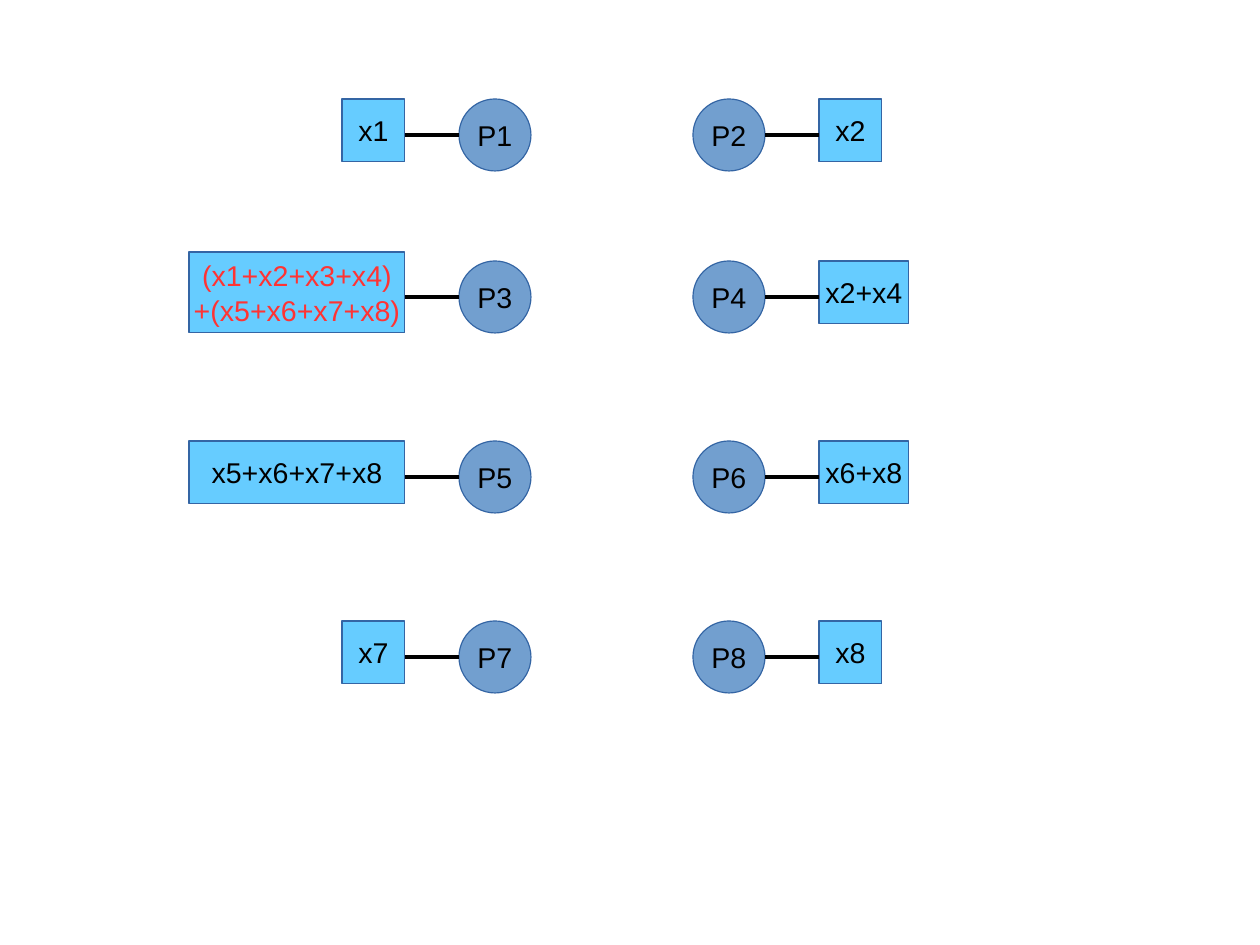
from dataclasses import dataclass

from lxml.etree import SubElement
from pptx import Presentation
from pptx.dml.color import RGBColor
from pptx.enum.shapes import MSO_CONNECTOR, MSO_SHAPE
from pptx.enum.text import MSO_ANCHOR, PP_ALIGN
from pptx.oxml.ns import qn
from pptx.util import Pt


@dataclass(frozen=True)
class Theme:
    node: str = "729FCF"
    box: str = "66CCFF"
    edge: str = "3465A4"
    link: str = "000000"
    ink: str = "000000"
    accent: str = "FF3333"
    font: str = "Arial"
    size: int = 18
    hair: int = 0


THEME = Theme()

NODE = 45.35  # circle diameter
BOX = 39.69  # usual box height
TALL = 51.02  # height of the two-line box
GAP = 34.02  # length of a link
SMALL, MID, WIDE = BOX, 56.69, 136.06
LEFT, RIGHT = 289.13, 436.54  # left edges of the circle columns
RISE = 5.67  # how far the tall box starts above its row

# Row top, then (label, box width) on the left and on the right
ROWS = [
    (62.36, ("x1", SMALL), ("x2", SMALL)),
    (164.41, ("(x1+x2+x3+x4)\n+(x5+x6+x7+x8)", WIDE), ("x2+x4", MID)),
    (277.8, ("x5+x6+x7+x8", WIDE), ("x6+x8", MID)),
    (391.18, ("x7", SMALL), ("x8", SMALL)),
]


def rgb(code):
    return RGBColor.from_string(code)


def add_block(slide, kind, text, x, y, width, height, fill, ink=THEME.ink):
    """Add a filled shape with centred text, one paragraph per line."""
    block = slide.shapes.add_shape(kind, Pt(x), Pt(y), Pt(width), Pt(height))
    block.shadow.inherit = False
    block.fill.solid()
    block.fill.fore_color.rgb = rgb(fill)
    block.line.color.rgb = rgb(THEME.edge)
    block.line.width = Pt(THEME.hair)
    frame = block.text_frame
    frame.word_wrap = False
    frame.vertical_anchor = MSO_ANCHOR.MIDDLE
    frame.text = text
    for line in frame.paragraphs:
        line.alignment = PP_ALIGN.CENTER
        line.font.name = THEME.font
        line.font.size = Pt(THEME.size)
        line.font.color.rgb = rgb(ink)


def add_node(slide, text, x, y):
    add_block(slide, MSO_SHAPE.OVAL, text, x, y, NODE, NODE, THEME.node)


def add_box(slide, text, x, y, width):
    """Add a value box; a two-line value is the result, tall and accented."""
    if "\n" in text:
        add_block(slide, MSO_SHAPE.RECTANGLE, text, x, y - RISE, width, TALL,
                  THEME.box, THEME.accent)
    else:
        add_block(slide, MSO_SHAPE.RECTANGLE, text, x, y, width, BOX,
                  THEME.box)


def add_link(slide, x, y):
    link = slide.shapes.add_connector(
        MSO_CONNECTOR.STRAIGHT, Pt(x), Pt(y), Pt(x + GAP), Pt(y))
    link.line.color.rgb = rgb(THEME.link)
    link.line.width = Pt(THEME.hair)
    SubElement(link._element.spPr, qn("a:effectLst"))


def add_row(slide, index, top, left, right):
    """Add two nodes, each linked to the value box on its outer side."""
    middle = top + NODE / 2
    text, width = left
    add_node(slide, f"P{2 * index + 1}", LEFT, top)
    add_box(slide, text, LEFT - GAP - width, top, width)
    add_link(slide, LEFT - GAP, middle)

    text, width = right
    add_node(slide, f"P{2 * index + 2}", RIGHT, top)
    add_box(slide, text, RIGHT + NODE + GAP, top, width)
    add_link(slide, RIGHT + NODE, middle)


def main():
    deck = Presentation()
    deck.slide_width, deck.slide_height = Pt(793.7), Pt(595.28)
    slide = deck.slides.add_slide(deck.slide_layouts[6])
    for index, (top, left, right) in enumerate(ROWS):
        add_row(slide, index, top, left, right)
    deck.save("out.pptx")


if __name__ == "__main__":
    main()
